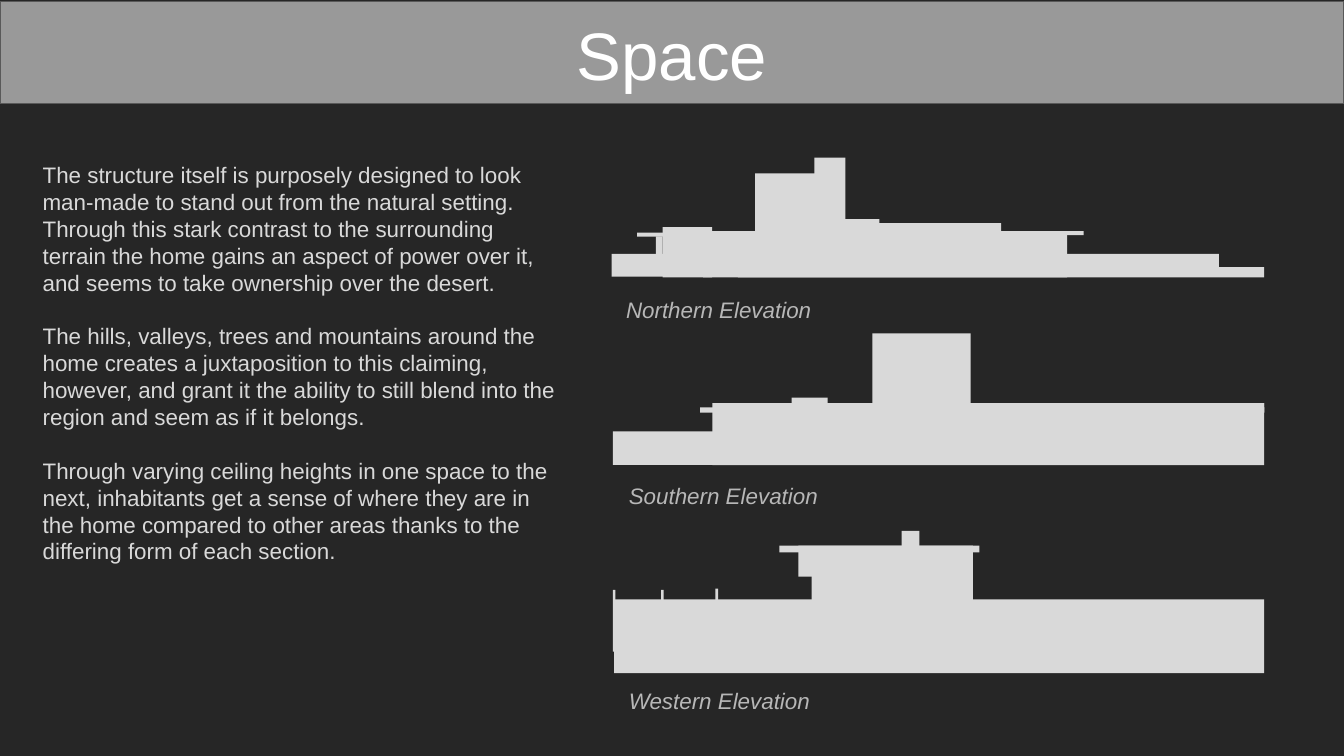
"""Build the Space slide with three building elevations drawn as silhouettes."""
from pptx import Presentation
from pptx.dml.color import RGBColor
from pptx.enum.shapes import MSO_SHAPE as Preset
from pptx.enum.text import MSO_ANCHOR as Anchor, PP_ALIGN as Align
from pptx.util import Pt

COLORS = {
    "background": "262626",
    "banner": "999999",
    "banner_edge": "595959",
    "title": "FFFFFF",
    "body": "D9D9D9",
    "caption": "B7B7B7",
    "silhouette": "D9D9D9",
}

ESSAY = [
    "The structure itself is purposely designed to look man-made to stand out "
    "from the natural setting. Through this stark contrast to the surrounding "
    "terrain the home gains an aspect of power over it, and seems to take "
    "ownership over the desert.",
    "The hills, valleys, trees and mountains around the home creates a "
    "juxtaposition to this claiming, however, and grant it the ability to "
    "still blend into the region and seem as if it belongs.",
    "Through varying ceiling heights in one space to the next, inhabitants "
    "get a sense of where they are in the home compared to other areas thanks "
    "to the differing form of each section.",
]

NORTHERN = [
    (327.6, 136.1, 54, 12.2),
    (355, 121.7, 26.6, 26.9),
    (341.3, 124.6, 40.3, 2.2),
    (351.4, 126.7, 3.6, 10.1),
    (376.6, 123.8, 195.1, 24.8),
    (393.8, 136.1, 259.2, 12.2),
    (395.3, 143.1, 281.9, 5.5),
    (404.6, 92.9, 33.1, 35.3),
    (436.3, 84.4, 16.6, 43.9),
    (447.8, 117.4, 23.4, 23),
    (454.3, 119.5, 82.1, 27.4),
    (460.1, 123.8, 120.4, 2.2),
]

SOUTHERN = [
    (328.3, 231.1, 295.9, 18),
    (381.6, 216, 295.7, 33.2),
    (375.1, 218.2, 302.2, 2.9),
    (388.1, 216, 289.2, 2.9),
    (424.1, 213.1, 19.4, 2.9),
    (467.3, 178.6, 52.7, 37.4),
]

WESTERN = [
    (329, 321.1, 348.3, 39.6),
    (434.9, 298.1, 86.4, 28.8),
    (417.6, 292.3, 107.1, 3.6),
    (427.7, 292.3, 93.6, 16.6),
    (483.1, 284.4, 9.4, 33.1),
    (493.9, 295.2, 9.4, 33.1),
    (328.3, 316.1, 1.4, 33.1),
    (354.2, 316.1, 1.4, 33.1),
    (383.3, 315.4, 1.4, 33.1),
]

ELEVATIONS = [
    ("Northern Elevation", 328.3, 151.2, NORTHERN),
    ("Southern Elevation", 329.8, 251.3, SOUTHERN),
    ("Western Elevation", 329.8, 360.9, WESTERN),
]


def color(name):
    """Return the named colour."""
    return RGBColor.from_string(COLORS[name])


def add_block(slide, bounds, fill, edge=None):
    """Add a filled rectangle, outlined only when an edge colour is given."""
    block = slide.shapes.add_shape(Preset.RECTANGLE, *map(Pt, bounds))
    block.shadow.inherit = False
    block.fill.solid()
    block.fill.fore_color.rgb = color(fill)
    if edge:
        block.line.color.rgb = color(edge)
        block.line.width = Pt(0.75)
    else:
        block.line.fill.background()


def add_text(slide, bounds, paragraphs, *, tint, size=12, italic=False,
             align=Align.LEFT, gap=0):
    """Add a wrapped text box with a gap between its paragraphs."""
    frame = slide.shapes.add_textbox(*map(Pt, bounds)).text_frame
    frame.word_wrap = True
    frame.vertical_anchor = Anchor.TOP
    frame.margin_left = frame.margin_right = Pt(7.2)
    frame.margin_top = frame.margin_bottom = Pt(7.2)
    for index, words in enumerate(paragraphs):
        paragraph = frame.add_paragraph() if index else frame.paragraphs[0]
        paragraph.alignment = align
        paragraph.space_before = Pt(gap if index else 0)
        run = paragraph.add_run()
        run.text = words
        run.font.name = "Arial"
        run.font.size = Pt(size)
        run.font.italic = italic
        run.font.color.rgb = color(tint)


def add_elevation(slide, name, left, top, masses):
    """Add one silhouette built from its masses, with its caption."""
    for mass in masses:
        add_block(slide, mass, "silhouette")
    add_text(slide, (left, top, 216, 25.2), [name], tint="caption", italic=True)


def main():
    """Build and save the slide."""
    deck = Presentation()
    deck.slide_width, deck.slide_height = Pt(720), Pt(405)
    slide = deck.slides.add_slide(deck.slide_layouts[6])
    slide.background.fill.solid()
    slide.background.fill.fore_color.rgb = color("background")

    add_block(slide, (0, 0.7, 720, 54.7), "banner", edge="banner_edge")
    add_text(slide, (98.6, 0, 522.7, 44.6), ["Space"], tint="title", size=36,
             align=Align.CENTER)
    for elevation in ELEVATIONS:
        add_elevation(slide, *elevation)
    add_text(slide, (15.8, 79.2, 293, 299.5), ESSAY, tint="body", gap=14.4)
    deck.save("out.pptx")


if __name__ == "__main__":
    main()
